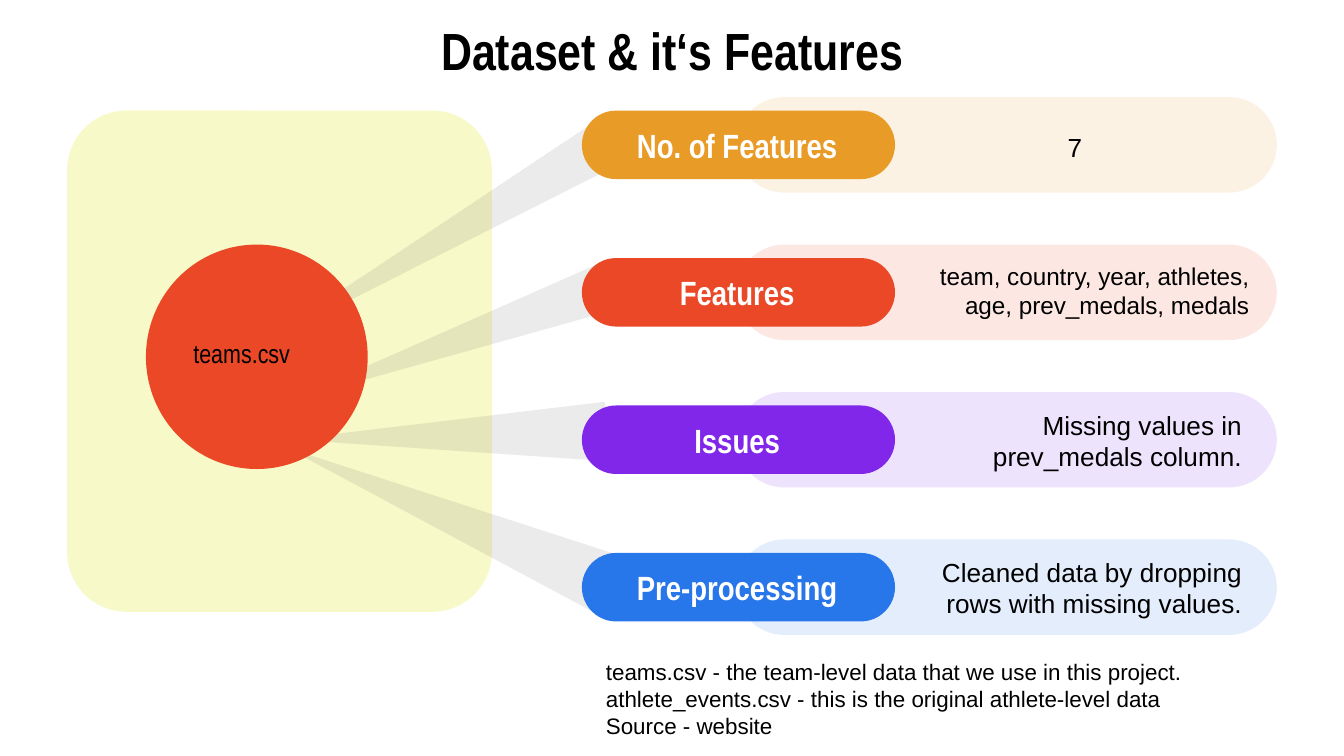
import collections

import lxml.etree
import pptx
import pptx.dml.color
import pptx.enum.shapes
import pptx.enum.text
import pptx.oxml.ns
import pptx.util

RGBColor = pptx.dml.color.RGBColor
Shape = pptx.enum.shapes.MSO_SHAPE
Align = pptx.enum.text.PP_ALIGN
Anchor = pptx.enum.text.MSO_ANCHOR

BLACK = RGBColor(0x00, 0x00, 0x00)
WHITE = RGBColor(0xFF, 0xFF, 0xFF)
GREY = RGBColor(0x66, 0x66, 0x66)
YELLOW = RGBColor(0xE4, 0xEA, 0x27)
ORANGE = RGBColor(0xE9, 0x9B, 0x27)
RED = RGBColor(0xEA, 0x48, 0x27)
PURPLE = RGBColor(0x80, 0x27, 0xEA)
BLUE = RGBColor(0x27, 0x76, 0xEA)

WIDTH = pptx.util.Inches(10)
HEIGHT = WIDTH * 9 // 16
COLUMNS = 100
UNIT = WIDTH / COLUMNS
ROW_PITCH = 10.97
PALE = 13

Box = collections.namedtuple("Box", "left top width height")
Row = collections.namedtuple("Row", "label detail color left top width size")

ROWS = [
    Row("No. of Features", "7", ORANGE, 31, 1.9, 7.2, 14),
    Row("Features", "team, country, year, athletes, age, prev_medals, medals",
        RED, 23.3, 1.6, 27.3, 13),
    Row("Issues", "Missing values in prev_medals column.",
        PURPLE, 28.4, 1.8, 21.7, 14),
    Row("Pre-processing", "Cleaned data by dropping rows with missing values.",
        BLUE, 25.1, 1.8, 25, 14),
]
BEAMS = [
    [(18.8, 26), (44.2, 9.1), (46.3, 12.1)],
    [(21.3, 29.9), (44.6, 19.6), (45.6, 23.1)],
    [(21.5, 32.7), (45, 29.9), (45, 34.3)],
    [(21.3, 33.3), (45.7, 41.2), (45.2, 46.1)],
]
NOTES = [
    "teams.csv - the team-level data that we use in this project.",
    "athlete_events.csv - this is the original athlete-level data",
    "Source - website",
]


def inside(box, left, top, width, height):
    """Return a box whose corner is offset from the corner of another box."""
    return Box(box.left + left, box.top + top, width, height)


def to_emu(values):
    """Convert grid units to slide lengths."""
    return [round(value * UNIT) for value in values]


def paint(shape, color, opacity=100):
    """Give a shape a plain fill without line or shadow."""
    shape.shadow.inherit = False
    shape.line.fill.background()
    shape.fill.solid()
    shape.fill.fore_color.rgb = color
    if opacity < 100:
        tag = pptx.oxml.ns.qn("a:srgbClr")
        alpha = lxml.etree.SubElement(next(shape.fill._xPr.iter(tag)),
                                      pptx.oxml.ns.qn("a:alpha"))
        alpha.set("val", str(opacity * 1000))


def add_filled(page, kind, box, color, opacity=100, rounding=None):
    """Add a filled preset shape."""
    shape = page.shapes.add_shape(kind, *to_emu(box))
    if rounding is not None:
        shape.adjustments[0] = rounding
    paint(shape, color, opacity)


def write(frame, lines, size, font="Arial", color=BLACK, bold=False, align=Align.LEFT):
    """Set the lines of a text frame and format their runs."""
    frame.word_wrap = True
    frame.text = "\n".join(lines)
    for paragraph in frame.paragraphs:
        paragraph.alignment = align
        for span in paragraph.runs:
            span.font.name = font
            span.font.size = pptx.util.Pt(size)
            span.font.bold = bold
            span.font.color.rgb = color


def center_vertically(frame):
    """Anchor text in the middle with equal insets."""
    frame.vertical_anchor = Anchor.MIDDLE
    frame.margin_left = frame.margin_right = pptx.util.Inches(0.1)
    frame.margin_top = frame.margin_bottom = pptx.util.Inches(0.1)


def add_text(page, box, lines, size, middle=False, **style):
    """Add a wrapped text box."""
    frame = page.shapes.add_textbox(*to_emu(box)).text_frame
    if middle:
        center_vertically(frame)
    write(frame, lines, size, **style)


def add_title(page, box, text):
    """Place and format the title placeholder."""
    title = page.shapes.title
    title.left, title.top, title.width, title.height = to_emu(box)
    center_vertically(title.text_frame)
    title.text_frame.auto_size = pptx.enum.text.MSO_AUTO_SIZE.NONE
    write(title.text_frame, [text], 28, font="Arial Narrow", bold=True, align=Align.CENTER)


def add_beam(page, points):
    """Draw a translucent triangle fanning out from the data set."""
    start, *others = [to_emu(point) for point in points]
    builder = page.shapes.build_freeform(*start)
    builder.add_line_segments(others, close=True)
    paint(builder.convert_to_shape(), GREY, PALE)


def add_dataset(page, box):
    """Draw the circle naming the data set in its panel."""
    add_filled(page, Shape.OVAL, inside(box, 5.86, 9.97, 16.5, 16.7), RED)
    add_text(page, inside(box, 8.4, 16.4, 14.1, 5.7), ["teams.csv"], 14, font="Arial Narrow")


def add_row(page, box, row):
    """Draw a labelled pill over a pale band with its detail."""
    add_filled(page, Shape.ROUNDED_RECTANGLE,
               inside(box, 11.5, 0, box.width - 11.5, box.height), row.color, PALE, 0.5)
    add_filled(page, Shape.ROUNDED_RECTANGLE, inside(box, 0, 1, 23.3, 5.1), row.color,
               rounding=0.5)
    add_text(page, inside(box, row.left, row.top, row.width, 3.6), [row.detail], row.size,
             middle=True, align=Align.RIGHT)
    add_text(page, inside(box, 1.8, 1.75, 19.5, 3.6), [row.label], 18, middle=True,
             font="Arial Narrow", color=WHITE, bold=True, align=Align.CENTER)


def main():
    """Build the slide and save it."""
    deck = pptx.Presentation()
    deck.slide_width, deck.slide_height = WIDTH, HEIGHT
    page = deck.slides.add_slide(deck.slide_layouts[5])
    panel = Box(5, 8.23, 31.6, 37.3)
    first_row = Box(43.3, 7.23, 51.7, 7.1)

    add_filled(page, Shape.ROUNDED_RECTANGLE, panel, YELLOW, 25, 0.14)
    add_title(page, Box(5, 1.65, 90, 4.1), "Dataset & it‘s Features")
    for points in BEAMS:
        add_beam(page, points)
    for index, row in enumerate(ROWS):
        add_row(page, first_row._replace(top=first_row.top + index * ROW_PITCH), row)
    add_dataset(page, panel)
    add_text(page, Box(44.1, 48.5, 47.1, 7.1), NOTES, 12)
    deck.save("out.pptx")


if __name__ == "__main__":
    main()
